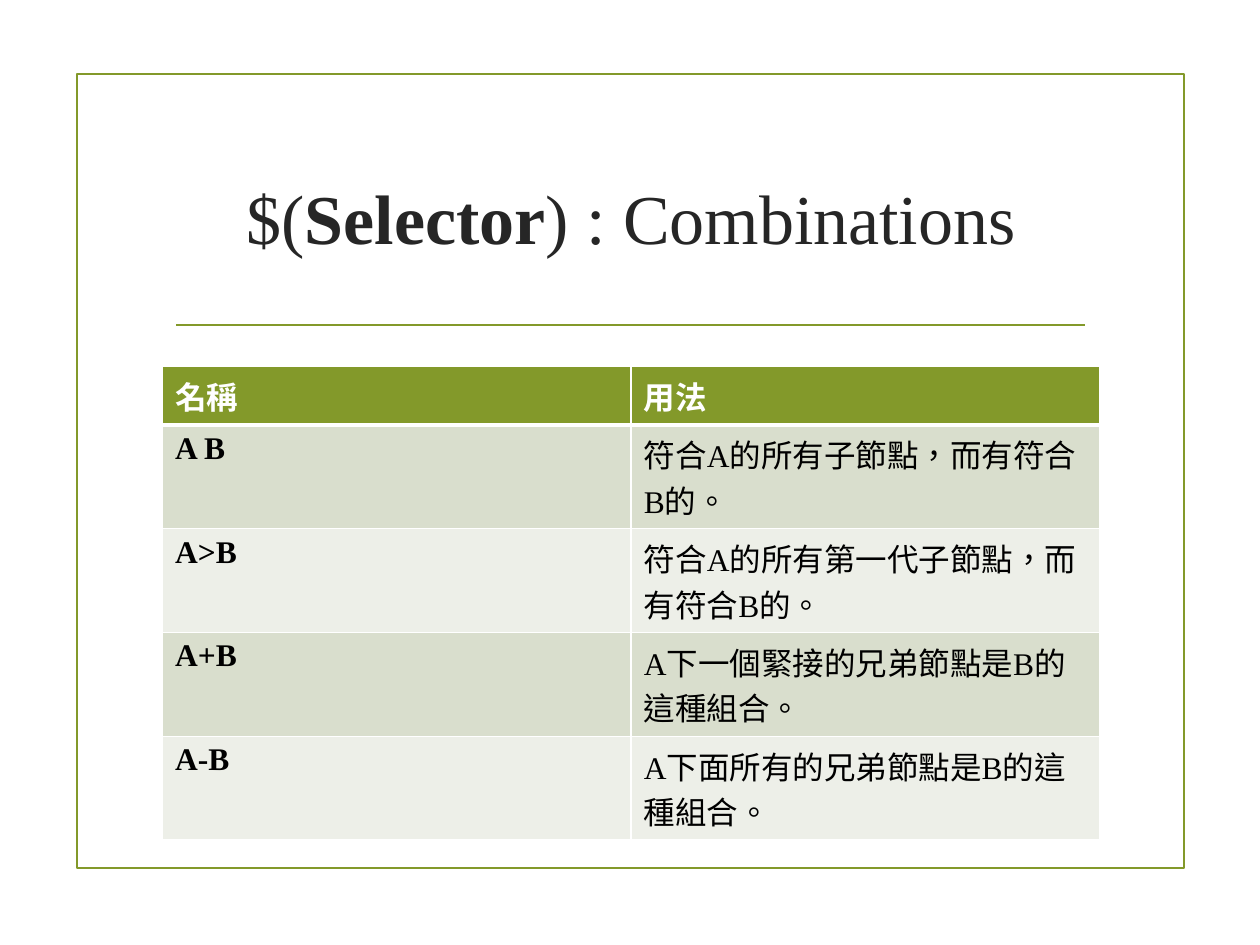
"""Build a slide with a table of selector combinations."""
import dataclasses

import pptx
import pptx.dml.color
import pptx.enum.lang
import pptx.enum.shapes
import pptx.enum.text
import pptx.oxml
import pptx.oxml.ns
import pptx.util

Inches = pptx.util.Inches
Pt = pptx.util.Pt


@dataclasses.dataclass(frozen=True)
class Theme:
    font: str = "Times New Roman"
    accent: str = "83992A"
    title: str = "262626"
    text: str = "000000"
    white: str = "FFFFFF"
    bands: tuple = ("D9DECD", "EDEFE8")
    title_size: int = 40
    body_size: int = 18
    line_width: float = 1.25


THEME = Theme()
ROWS = [
    ("名稱", "用法"),
    ("A B", "符合A的所有子節點，而有符合B的。"),
    ("A>B", "符合A的所有第一代子節點，而有符合B的。"),
    ("A+B", "A下一個緊接的兄弟節點是B的這種組合。"),
    ("A-B", "A下面所有的兄弟節點是B的這種組合。"),
]


def rgb(color):
    return pptx.dml.color.RGBColor.from_string(color)


def add_text(p, text, size=THEME.body_size, color=THEME.text, bold=False):
    r = p.add_run()
    r.text = text
    r.font.name = THEME.font
    r.font.size = Pt(size)
    r.font.bold = bold
    r.font.color.rgb = rgb(color)
    r.font.language_id = pptx.enum.lang.MSO_LANGUAGE_ID.TRADITIONAL_CHINESE


def style_line(line):
    line.color.rgb = rgb(THEME.accent)
    line.width = Pt(THEME.line_width)


def add_frame(s):
    sp = s.shapes.add_shape(pptx.enum.shapes.MSO_SHAPE.RECTANGLE,
                            Inches(0.61), Inches(0.59), Inches(8.79), Inches(6.3))
    sp.fill.background()
    sp.shadow.inherit = False
    style_line(sp.line)


def add_rule(s):
    y = Inches(2.58)
    rule = s.shapes.add_connector(pptx.enum.shapes.MSO_CONNECTOR.STRAIGHT,
                                  Inches(1.4), y, Inches(8.61), y)
    style_line(rule.line)
    effects = pptx.oxml.parse_xml(f'<a:effectLst {pptx.oxml.ns.nsdecls("a")}/>')
    rule._element.spPr.append(effects)


def set_title(s):
    sp = s.shapes.title
    sp.left, sp.top = Inches(1.29), Inches(1)
    sp.width, sp.height = Inches(7.44), Inches(1.43)
    tf = sp.text_frame
    tf.word_wrap = True
    tf.vertical_anchor = pptx.enum.text.MSO_ANCHOR.MIDDLE
    p = tf.paragraphs[0]
    p.alignment = pptx.enum.text.PP_ALIGN.CENTER
    for text, bold in (("$(", False), ("Selector", True), (") : Combinations", False)):
        add_text(p, text, size=THEME.title_size, color=THEME.title, bold=bold)


def set_borders(cell, **widths):
    tc_pr = cell._tc.get_or_add_tcPr()
    for index, (side, width) in enumerate(widths.items()):
        border = pptx.oxml.parse_xml(
            f'<a:ln{side} {pptx.oxml.ns.nsdecls("a")} w="{Pt(width)}"><a:solidFill>'
            f'<a:srgbClr val="{THEME.white}"/></a:solidFill></a:ln{side}>')
        tc_pr.insert(index, border)


def fill_cell(cell, text, row, col):
    header = row == 0
    cell.fill.solid()
    cell.fill.fore_color.rgb = rgb(THEME.accent if header else THEME.bands[(row - 1) % 2])
    add_text(cell.text_frame.paragraphs[0], text,
             color=THEME.white if header else THEME.text, bold=header or col == 0)
    set_borders(cell, L=1, R=1, T=3 if row == 1 else 1, B=3 if header else 1)


def add_selector_table(s):
    header_height, row_height = Inches(0.45), Inches(0.82)
    height = header_height + row_height * (len(ROWS) - 1)
    table = s.shapes.add_table(len(ROWS), 2, Inches(1.29), Inches(2.91),
                               Inches(7.44), height).table
    for i, texts in enumerate(ROWS):
        table.rows[i].height = row_height if i else header_height
        for j, text in enumerate(texts):
            fill_cell(table.cell(i, j), text, i, j)


def main():
    prs = pptx.Presentation()
    prs.slide_width, prs.slide_height = Inches(10), Inches(7.5)
    s = prs.slides.add_slide(prs.slide_layouts[5])
    add_frame(s)
    add_rule(s)
    set_title(s)
    add_selector_table(s)
    prs.save("out.pptx")


if __name__ == "__main__":
    main()
